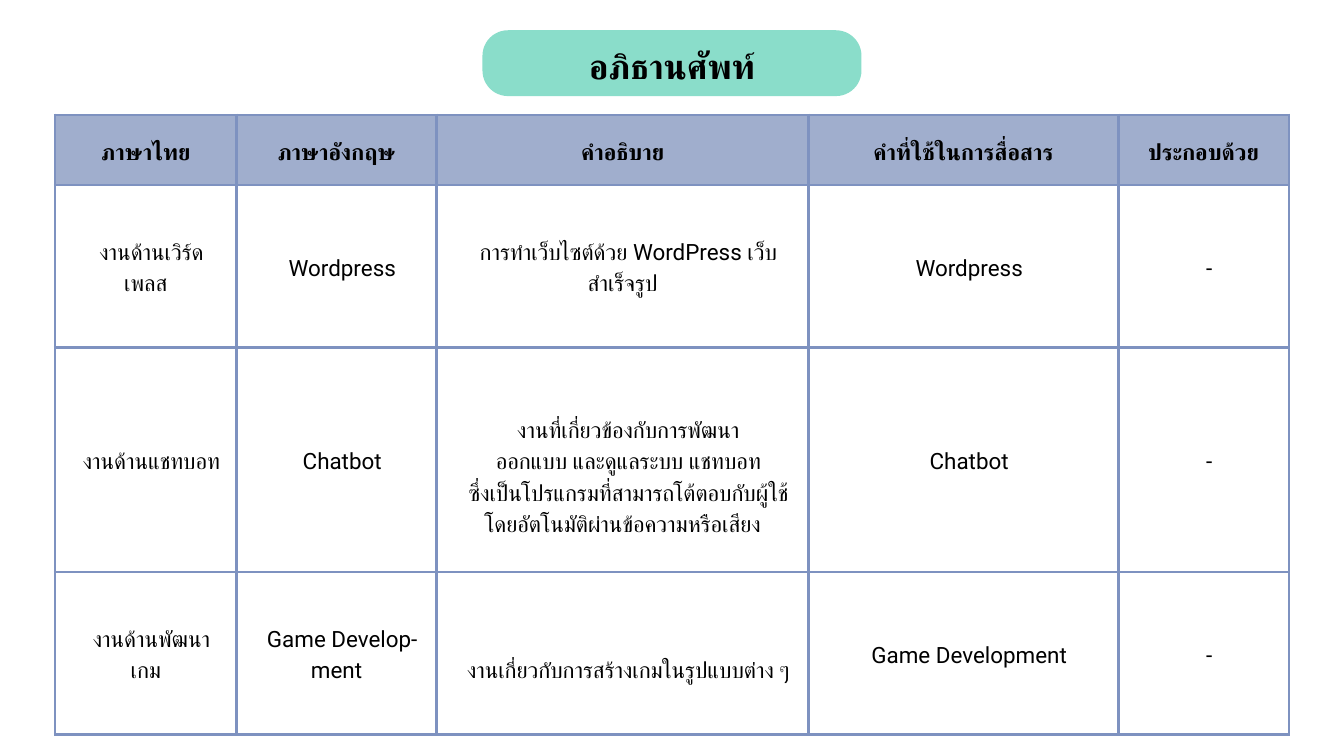
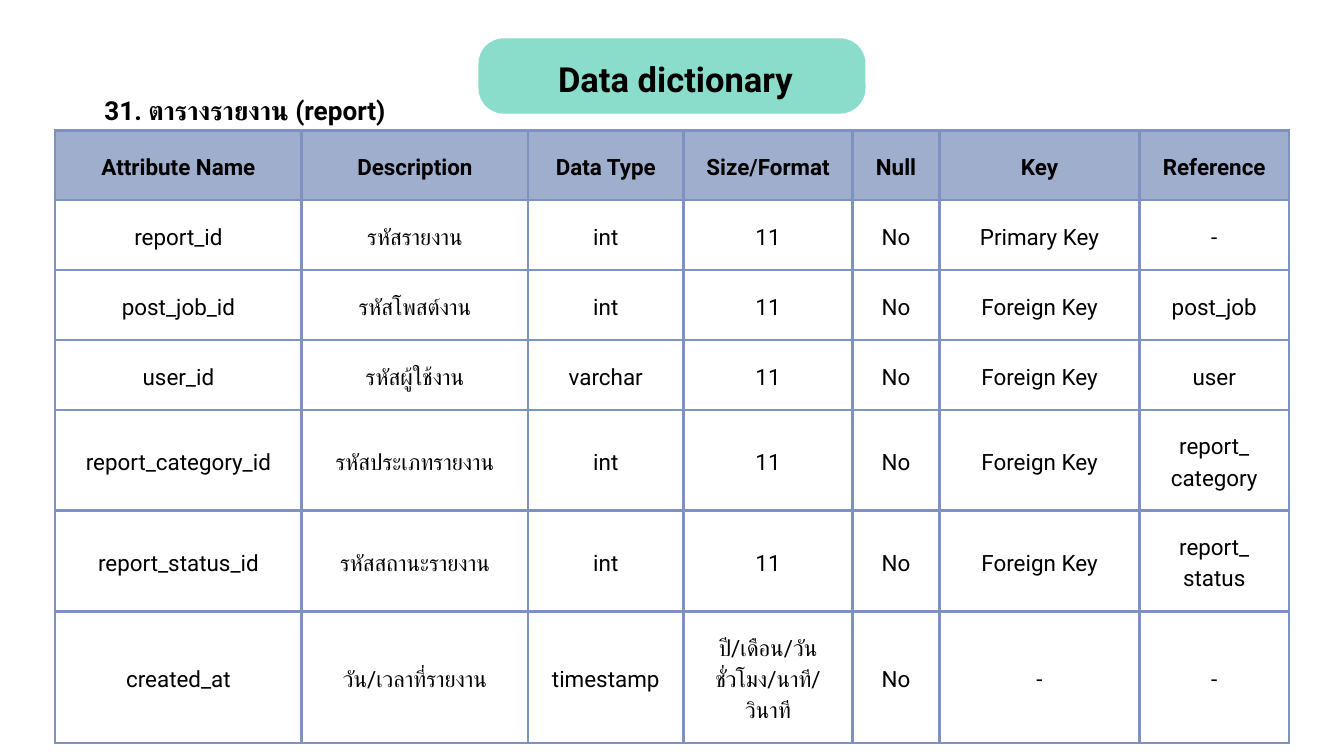
from dataclasses import dataclass

from lxml import etree
from pptx import Presentation
from pptx.dml.color import RGBColor
from pptx.enum.shapes import MSO_SHAPE
from pptx.enum.text import MSO_ANCHOR, MSO_AUTO_SIZE, PP_ALIGN
from pptx.oxml.ns import qn
from pptx.util import Inches, Pt

CENTER = PP_ALIGN.CENTER
TOP, MIDDLE = MSO_ANCHOR.TOP, MSO_ANCHOR.MIDDLE
ROUNDED = MSO_SHAPE.ROUNDED_RECTANGLE
NO_AUTOFIT = MSO_AUTO_SIZE.NONE

SLIDE_W, SLIDE_H = Inches(20), Inches(11.25)
TITLE_ONLY = 5
FONT = "Roboto"
BLACK, MINT, HEADER_BLUE, BORDER_BLUE = "000000", "8ADDCA", "A0AECD", "7E92C0"
BORDER_PT = 3
TITLE_SIZE, HEADING_SIZE, CELL_SIZE = 37, 28, 24
LEADING = 1.4
PILL_RADIUS = Inches(0.38)
CELL_INSET = Inches(0.21)
ROW_BASE, ROW_LINE = Inches(0.58), Inches(0.46)
TABLE_X, TABLE_W = 4.1, 91.8


@dataclass(frozen=True)
class Box:
    """A rectangle in percent of the slide's width and height."""
    x: float
    y: float
    w: float
    h: float

    def lengths(self) -> tuple[int, int, int, int]:
        return (int(SLIDE_W * self.x / 100), int(SLIDE_H * self.y / 100),
                int(SLIDE_W * self.w / 100), int(SLIDE_H * self.h / 100))


@dataclass(frozen=True)
class Grid:
    """A table: col_shares are relative widths, row_lines are heights in text lines."""
    top: float
    col_shares: tuple[float, ...]
    row_lines: tuple[int, ...]
    rows: tuple[tuple[str, ...], ...]
    indent: float = 0
    lowered: tuple[tuple[int, int], ...] = ()


@dataclass(frozen=True)
class Page:
    title: str
    pill: Box
    title_box: Box
    grid: Grid
    heading: str = ""


HEADING_BOX = Box(4.5, 11.73, 27.45, 4.71)

GLOSSARY = Grid(
    top=15.2,
    col_shares=(2.7, 2.98, 5.54, 4.61, 2.54),
    row_lines=(1, 4, 6, 4),
    rows=(
        ("ภาษาไทย", "ภาษาอังกฤษ", "คำอธิบาย", "คำที่ใช้ในการสื่อสาร", "ประกอบด้วย"),
        ("งานด้านเวิร์ดเพลส", "Wordpress",
         "การทำเว็บไซต์ด้วย WordPress เว็บสำเร็จรูป", "Wordpress", "-"),
        ("งานด้านแชทบอท", "Chatbot",
         "งานที่เกี่ยวข้องกับการพัฒนา\nออกแบบ และดูแลระบบ แชทบอท\n"
         "ซึ่งเป็นโปรแกรมที่สามารถโต้ตอบกับผู้ใช้โดยอัตโนมัติผ่านข้อความหรือเสียง",
         "Chatbot", "-"),
        ("งานด้านพัฒนาเกม", "Game Develop-ment",
         "งานเกี่ยวกับการสร้างเกมในรูปแบบต่าง ๆ", "Game Development", "-"),
    ),
    indent=0.17,
    lowered=((2, 2), (3, 2)),
)

REPORT = Grid(
    top=17.24,
    col_shares=(3.67, 3.37, 2.31, 2.52, 1.29, 2.98, 2.22),
    row_lines=(1, 1, 1, 1, 2, 2, 3),
    rows=(
        ("Attribute Name", "Description", "Data Type", "Size/Format", "Null", "Key",
         "Reference"),
        ("report_id", "รหัสรายงาน", "int", "11", "No", "Primary Key", "-"),
        ("post_job_id", "รหัสโพสต์งาน", "int", "11", "No", "Foreign Key", "post_job"),
        ("user_id", "รหัสผู้ใช้งาน", "varchar", "11", "No", "Foreign Key", "user"),
        ("report_category_id", "รหัสประเภทรายงาน", "int", "11", "No", "Foreign Key",
         "report_\ncategory"),
        ("report_status_id", "รหัสสถานะรายงาน", "int", "11", "No", "Foreign Key",
         "report_\nstatus"),
        ("created_at", "วัน/เวลาที่รายงาน", "timestamp",
         "ปี/เดือน/วัน\nชั่วโมง/นาที/วินาที", "No", "-", "-"),
    ),
)

PAGES = (
    Page("อภิธานศัพท์", Box(35.9, 4, 28.2, 8.71), Box(42.5, 4.98, 15, 6.13), GLOSSARY),
    Page("Data dictionary", Box(35.6, 5.07, 28.8, 9.96), Box(40.15, 6.76, 20.2, 5.96),
         REPORT, heading="31. ตารางรายงาน (report)"),
)


def rgb(color: str) -> RGBColor:
    return RGBColor.from_string(color)


def write(tf, text: str, *, size: float, bold: bool = False, indent: float = 0) -> None:
    """Fill a text frame with one centred paragraph per line of text."""
    for i, line in enumerate(text.split("\n")):
        p = tf.paragraphs[0] if i == 0 else tf.add_paragraph()
        p.alignment = CENTER
        p.line_spacing = Pt(size * LEADING)
        if indent:
            p._p.get_or_add_pPr().set("indent", str(Inches(indent)))
        r = p.add_run()
        r.text = line
        r.font.name, r.font.size, r.font.bold = FONT, Pt(size), bold
        r.font.color.rgb = rgb(BLACK)
        etree.SubElement(r._r.get_or_add_rPr(), qn("a:cs"), typeface=FONT)


def place_text(sp, box: Box, text: str, size: float) -> None:
    sp.left, sp.top, sp.width, sp.height = box.lengths()
    tf = sp.text_frame
    tf.margin_left = tf.margin_right = tf.margin_top = tf.margin_bottom = 0
    tf.word_wrap = True
    tf.auto_size = NO_AUTOFIT
    tf.vertical_anchor = TOP
    write(tf, text, size=size, bold=True)


def add_pill(s, box: Box) -> None:
    """Draw the rounded band behind the title placeholder."""
    sp = s.shapes.add_shape(ROUNDED, *box.lengths())
    sp.adjustments[0] = PILL_RADIUS / sp.height
    sp.shadow.inherit = False
    sp.fill.solid()
    sp.fill.fore_color.rgb = rgb(MINT)
    sp.line.fill.background()
    s.shapes.title._element.addprevious(sp._element)


def set_borders(cell) -> None:
    tc_pr = cell._tc.get_or_add_tcPr()
    for side in ("lnL", "lnR", "lnT", "lnB"):
        ln = etree.SubElement(tc_pr, qn(f"a:{side}"), w=str(Pt(BORDER_PT)))
        fill = etree.SubElement(ln, qn("a:solidFill"))
        etree.SubElement(fill, qn("a:srgbClr"), val=BORDER_BLUE)


def format_cell(cell, text: str, *, header: bool, lowered: bool, indent: float) -> None:
    """Write a cell; a lowered one sits half a line below the middle."""
    cell.margin_left = cell.margin_right = cell.margin_bottom = CELL_INSET
    cell.margin_top = CELL_INSET + (Pt(CELL_SIZE * LEADING) if lowered else 0)
    cell.vertical_anchor = MIDDLE
    set_borders(cell)
    if header:
        cell.fill.solid()
        cell.fill.fore_color.rgb = rgb(HEADER_BLUE)
    else:
        cell.fill.background()
    write(cell.text_frame, text, size=CELL_SIZE, bold=header, indent=indent)


def add_grid(s, grid: Grid) -> None:
    heights = [ROW_BASE + ROW_LINE * n for n in grid.row_lines]
    box = Box(TABLE_X, grid.top, TABLE_W, sum(heights) / SLIDE_H * 100)
    x, y, w, h = box.lengths()
    table = s.shapes.add_table(len(heights), len(grid.col_shares), x, y, w, h).table
    table.first_row = table.horz_banding = False
    for column, share in zip(table.columns, grid.col_shares):
        column.width = int(w * share / sum(grid.col_shares))
    for i, (height, texts) in enumerate(zip(heights, grid.rows)):
        table.rows[i].height = height
        for j, text in enumerate(texts):
            format_cell(table.cell(i, j), text, header=i == 0,
                        lowered=(i, j) in grid.lowered,
                        indent=grid.indent if i else 0)


def add_page(prs, page: Page) -> None:
    s = prs.slides.add_slide(prs.slide_layouts[TITLE_ONLY])
    add_pill(s, page.pill)
    place_text(s.shapes.title, page.title_box, page.title, TITLE_SIZE)
    add_grid(s, page.grid)
    if page.heading:
        sp = s.shapes.add_textbox(*HEADING_BOX.lengths())
        place_text(sp, HEADING_BOX, page.heading, HEADING_SIZE)


def main() -> None:
    prs = Presentation()
    prs.slide_width, prs.slide_height = SLIDE_W, SLIDE_H
    for page in PAGES:
        add_page(prs, page)
    prs.save("out.pptx")


if __name__ == "__main__":
    main()
